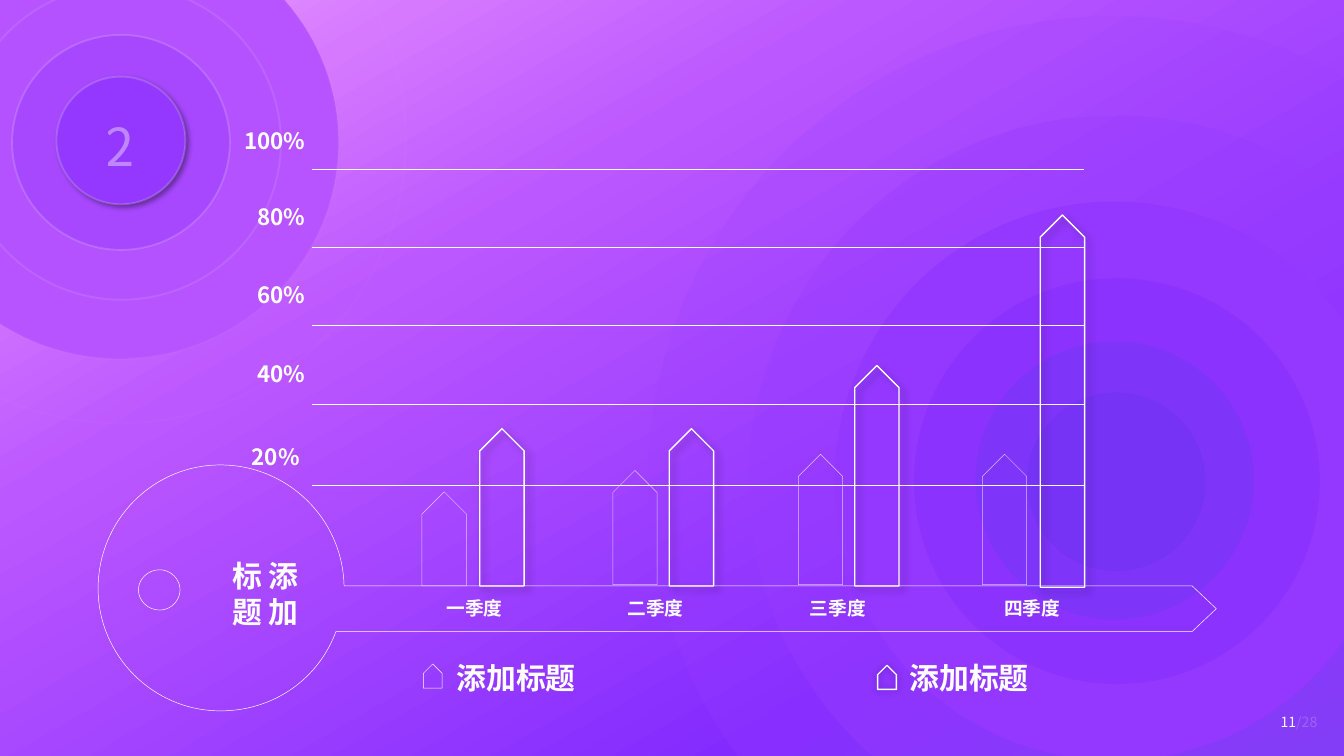
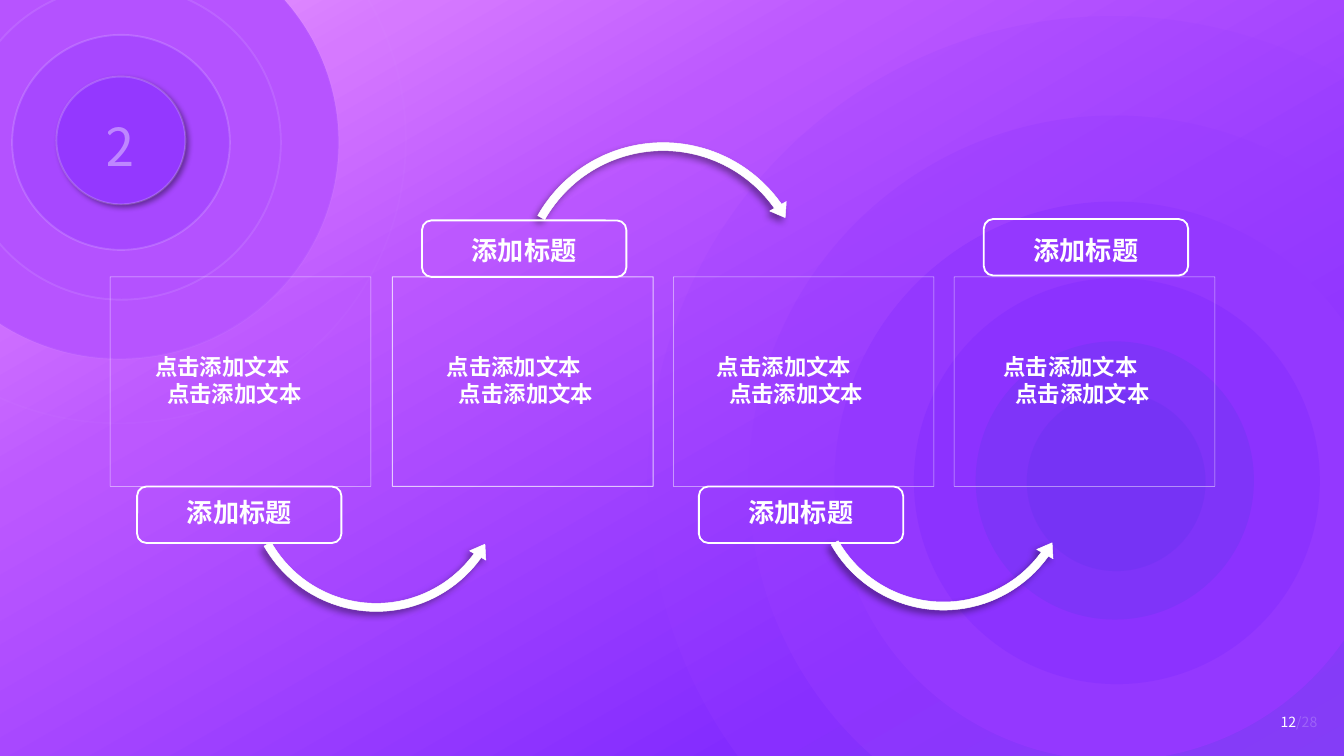
from lxml import etree
from pptx import Presentation
from pptx.dml.color import RGBColor
from pptx.enum import dml, shapes, text
from pptx.oxml.ns import qn
from pptx.util import Inches, Pt

COLORS = {"white": "FFFFFF", "black": "000000", "disc": "9438FF"}
BACKGROUND = [(0, "ECA3FF"), (16, "D679FF"), (33, "BC58FF"), (77, "832BFF"), (100, "6D3FEF")]
FONT = "Noto Sans CJK SC"
PAGE_COUNT = 28
SHAPE = shapes.MSO_SHAPE
ALIGN = text.PP_ALIGN

# Corner rings: box, fill, line opacity
CORNER_RINGS = [
    ((-0.74, -0.55, 3.26, 3.22), "B754FF", 4),
    ((-0.28, -0.11, 2.37, 2.34), "B452FF", 9),
    ((0.09, 0.26, 1.62, 1.6), "A748FF", 16),
    ((0.42, 0.57, 0.96, 0.95), COLORS["disc"], 18),
    ((-1.25, -1.07, 4.27, 4.22), None, 2),
]
# Ripples: left, top, diameter, fill, opacity
RIPPLES = [
    (4.82, 0.12, 6.92, "9C3FFF", 20),
    (5.57, 0.86, 5.45, "993CFF", 40),
    (6.21, 1.5, 4.16, COLORS["disc"], 100),
    (6.8, 2.07, 3.02, "872EFF", 60),
    (7.26, 2.54, 2.07, "7736F6", 60),
    (7.64, 2.92, 1.33, "6933F1", 40),
]


def fade(element, opacity):
    """Make every colour inside the element partly transparent."""
    if opacity < 100:
        for color in element.iter(qn("a:srgbClr")):
            etree.SubElement(color, qn("a:alpha")).set("val", str(opacity * 1000))


def cast_shadow(shape, blur, distance, angle):
    effects = shape._element.spPr.find(qn("a:effectLst"))
    outer = etree.SubElement(effects, qn("a:outerShdw"), blurRad=str(Pt(blur)),
                             dist=str(Pt(distance)), dir=str(angle * 60000),
                             algn="tl", rotWithShape="0")
    etree.SubElement(outer, qn("a:srgbClr"), val=COLORS["black"])
    fade(outer, 40)


class Deck:
    def __init__(self):
        self.prs = Presentation()
        self.prs.slide_width, self.prs.slide_height = Inches(10), Inches(5.625)
        self.layout = self.prs.slide_layouts[6]
        self.slide = self.prs.slides.add_slide(self.layout)
        self.backdrop()

    def next_slide(self):
        self.slide = self.prs.slides.add_slide(self.layout)

    def style(self, shape, fill=None, line=None, line_opacity=100, opacity=100, shadow=None):
        if fill:
            shape.fill.solid()
            shape.fill.fore_color.rgb = RGBColor.from_string(fill)
            fade(shape._element.spPr, opacity)
        else:
            shape.fill.background()
        if line:
            shape.line.width = Pt(line)
            shape.line.color.rgb = RGBColor.from_string(COLORS["white"])
            fade(shape._element.spPr.find(qn("a:ln")), line_opacity)
        else:
            shape.line.fill.background()
        shape.shadow.inherit = False
        if shadow:
            cast_shadow(shape, *shadow)
        return shape

    def shape(self, kind, box, adjust=(), **style):
        shape = self.slide.shapes.add_shape(kind, *map(Inches, box))
        for i, value in enumerate(adjust):
            shape.adjustments[i] = value
        return self.style(shape, **style)

    def house(self, box, **style):
        return self.shape(SHAPE.UP_ARROW, box, (1, 0.5), **style)

    def outline(self, contours, **style):
        """Each contour: a start, then segments of one point (line) or three (curve)."""
        builder = None
        for start, segments in contours:
            first = [Inches(v) for v in start]
            if builder is None:
                builder = self.slide.shapes.build_freeform(*first, scale=1.0)
            else:
                builder.move_to(*first)
            builder.add_line_segments(
                [(Inches(x), Inches(y)) for segment in segments for x, y in segment], close=True)
        shape = builder.convert_to_shape()
        lines = iter(list(shape._element.iter(qn("a:lnTo"))))
        for _, segments in contours:
            for segment in segments:
                group = [next(lines) for _ in segment]
                if len(group) == 3:
                    curve = etree.Element(qn("a:cubicBezTo"))
                    group[0].addprevious(curve)
                    for line in group:
                        curve.append(line[0])
                        line.getparent().remove(line)
        return self.style(shape, **style)

    def gridline(self, left, right, y):
        line = self.slide.shapes.add_connector(
            shapes.MSO_CONNECTOR.STRAIGHT, *map(Inches, (left, y, right, y)))
        line.line.width = Pt(0.25)
        line.line.color.rgb = RGBColor.from_string(COLORS["white"])
        line.line.dash_style = dml.MSO_LINE.ROUND_DOT
        etree.SubElement(line._element.spPr, qn("a:effectLst"))

    def label(self, box, lines, size, align=None, bold=True, spacing=0, opacity=100, grow=True):
        frame = self.slide.shapes.add_textbox(*map(Inches, box)).text_frame
        frame.word_wrap = True
        if grow:
            frame.auto_size = text.MSO_AUTO_SIZE.SHAPE_TO_FIT_TEXT
        frame.text = lines
        for paragraph in frame.paragraphs:
            paragraph.alignment = align
            font = paragraph.font
            font.size, font.bold, font.name = Pt(size), bold, FONT
            font.color.rgb = RGBColor.from_string(COLORS["white"])
            fade(font._rPr, opacity)
            etree.SubElement(font._rPr, qn("a:ea"), typeface=FONT)
            if spacing:
                font._rPr.set("spc", str(spacing * 100))
        return frame

    def backdrop(self):
        """Draw the shared decoration and hand it to the layout."""
        # Gradient over the whole slide
        sky = self.shape(SHAPE.RECTANGLE, (0, 0, 10, 5.625))
        sky.fill.gradient()
        sky.fill.gradient_angle = 300
        stops = sky._element.spPr.find(qn("a:gradFill")).find(qn("a:gsLst"))
        for stop in list(stops):
            stops.remove(stop)
        for position, color in BACKGROUND:
            stop = etree.SubElement(stops, qn("a:gs"), pos=str(position * 1000))
            etree.SubElement(stop, qn("a:srgbClr"), val=color)
        # Section number inside its rings
        for box, fill, opacity in CORNER_RINGS:
            shadow = (3, 2, 45) if fill == COLORS["disc"] else None
            self.shape(SHAPE.OVAL, box, fill=fill, line=1, line_opacity=opacity, shadow=shadow)
        self.label((0.69, 0.8, 0.3, 0.75), "2", 28, bold=False, spacing=6, opacity=40)
        # Ripples on the right
        for left, top, size, fill, opacity in RIPPLES:
            self.shape(SHAPE.OVAL, (left, top, size, size), fill=fill, opacity=opacity)
        # The layout keeps only this decoration
        for placeholder in list(self.layout.placeholders):
            placeholder._element.getparent().remove(placeholder._element)
        for part in list(self.slide.shapes):
            self.layout.shapes._spTree.append(part._element)

    def page_number(self, page):
        frame = self.label((9.43, 5.26, 0.54, 0.23), str(page), 7.5, bold=False)
        total = frame.paragraphs[0].add_run()
        total.text = f"/{PAGE_COUNT}"
        total.font.color.rgb = RGBColor.from_string(COLORS["white"])
        fade(total.font._rPr, 20)


deck = Deck()

# Slide 1: quarterly bars on a key-shaped axis
SOFT = dict(line=0.25, line_opacity=70)
STRONG = dict(line=0.75, shadow=(4, 3, 45))

# Legend
legend = [((3.15, 4.94, 0.14, 0.18), 3.3, dict(line=0.25)),
          ((6.53, 4.95, 0.14, 0.18), 6.67, dict(line=0.75, shadow=(4, 0, 45)))]
for key_box, name_left, look in legend:
    deck.house(key_box, **look)
    deck.label((name_left, 4.86, 1.27, 0.37), "添加标题", 16)

# Scale
scale = [("100%", 0.9, 1.26), ("80%", 1.46, 1.84), ("60%", 2.04, 2.42),
         ("40%", 2.63, 3.01), ("20%", 3.25, 3.61)]
for _, _, grid_y in scale:
    deck.gridline(2.32, 8.06, grid_y)
for percent, top, _ in scale:
    mark = deck.label((1.21, top, 1.16, 0.3), percent, 12, ALIGN.RIGHT)
    if percent == "20%":
        mark.margin_right = Inches(0.14)

# Bars: left, top and height
soft_bars = [(3.14, 3.66, 0.7), (4.56, 3.5, 0.85), (5.94, 3.38, 0.97), (7.31, 3.38, 0.97)]
strong_bars = [(3.57, 3.19, 1.17), (4.98, 3.19, 1.17), (6.36, 2.72, 1.64), (7.74, 1.6, 2.77)]
for bars, look in ((soft_bars, SOFT), (strong_bars, STRONG)):
    for left, top, height in bars:
        deck.house((left, top, 0.33, height), **look)

# Key-shaped axis
hole = ((1.19, 4.24), [
    ((1.1, 4.24), (1.03, 4.31), (1.03, 4.39)),
    ((1.03, 4.47), (1.1, 4.54), (1.19, 4.54)),
    ((1.27, 4.54), (1.34, 4.47), (1.34, 4.39)),
    ((1.34, 4.31), (1.27, 4.24), (1.19, 4.24))])
key = ((1.64, 3.46), [
    ((2.14, 3.46), (2.55, 3.86), (2.56, 4.36)),
    ((8.87, 4.36),), ((9.05, 4.53),), ((8.87, 4.7),), ((2.5, 4.7),),
    ((2.37, 5.05), (2.04, 5.29), (1.64, 5.29)),
    ((1.14, 5.29), (0.73, 4.88), (0.73, 4.38)),
    ((0.73, 3.87), (1.14, 3.46), (1.64, 3.46))])
deck.outline([hole, key], line=0.25)
heading = deck.label((1.54, 4.08, 0.74, 0.63), "添加\n标题", 16, ALIGN.JUSTIFY, spacing=3)
heading.word_wrap = False
heading._txBody.bodyPr.set("vert", "eaVert")

# Quarters: label left and right inset
quarters = [("一季度", 2.98, 0.1), ("二季度", 4.36, 0.16),
            ("三季度", 5.75, 0.23), ("四季度", 7.13, 0.1)]
for quarter, left, inset in quarters:
    caption = deck.label((left, 4.39, 1.1, 0.27), quarter, 10, ALIGN.CENTER)
    caption.margin_right = Inches(inset)
deck.page_number(11)

# Slide 2: four steps joined by curved arrows
deck.next_slide()
ARROW = dict(fill=COLORS["white"], line=0.25, shadow=(4, 3, 135))
UNDER = (SHAPE.LEFT_CIRCULAR_ARROW, (0.03, 3.706, 21.461, 90.245, 0.035))
OVER = (SHAPE.CIRCULAR_ARROW, (0.027, 3.292, 194.953, 125.755, 0.032))

# Arrows
for (kind, bend), box in ((UNDER, (1.8, 2.59, 2, 2)), (OVER, (3.82, 1.02, 2.23, 2.23)),
                          (UNDER, (6.02, 2.58, 2, 2))):
    deck.shape(kind, box, bend, **ARROW)

# Tabs: left, top and title top
for left, top, title_top in ((1.02, 3.62, 3.64), (3.14, 1.64, 1.69),
                             (5.2, 3.62, 3.64), (7.32, 1.63, 1.69)):
    deck.shape(SHAPE.ROUNDED_RECTANGLE, (left, top, 1.52, 0.42), line=1)
    title = deck.label((left + 0.2, title_top, 1.12, 0.34), "添加标题", 14,
                       ALIGN.CENTER, grow=False)
    title.vertical_anchor = text.MSO_ANCHOR.MIDDLE

# Frames: left, text left and line width
SHIFT = Inches(0.18)
for left, body_left, line in ((0.82, 0.98, 0.25), (2.92, 3.15, 0.5),
                              (5.01, 5.16, 0.25), (7.1, 7.29, 0.25)):
    deck.shape(SHAPE.RECTANGLE, (left, 2.06, 1.94, 1.56), line=line, line_opacity=70)
    body = deck.label((body_left, 2.58, 1.53, 0.5), "点击添加文本\n点击添加文本", 12, ALIGN.CENTER)
    body.margin_left, body.margin_right = 0, SHIFT
    body.paragraphs[1]._p.get_or_add_pPr().set("marL", str(SHIFT))
deck.page_number(12)

deck.prs.save("out.pptx")
